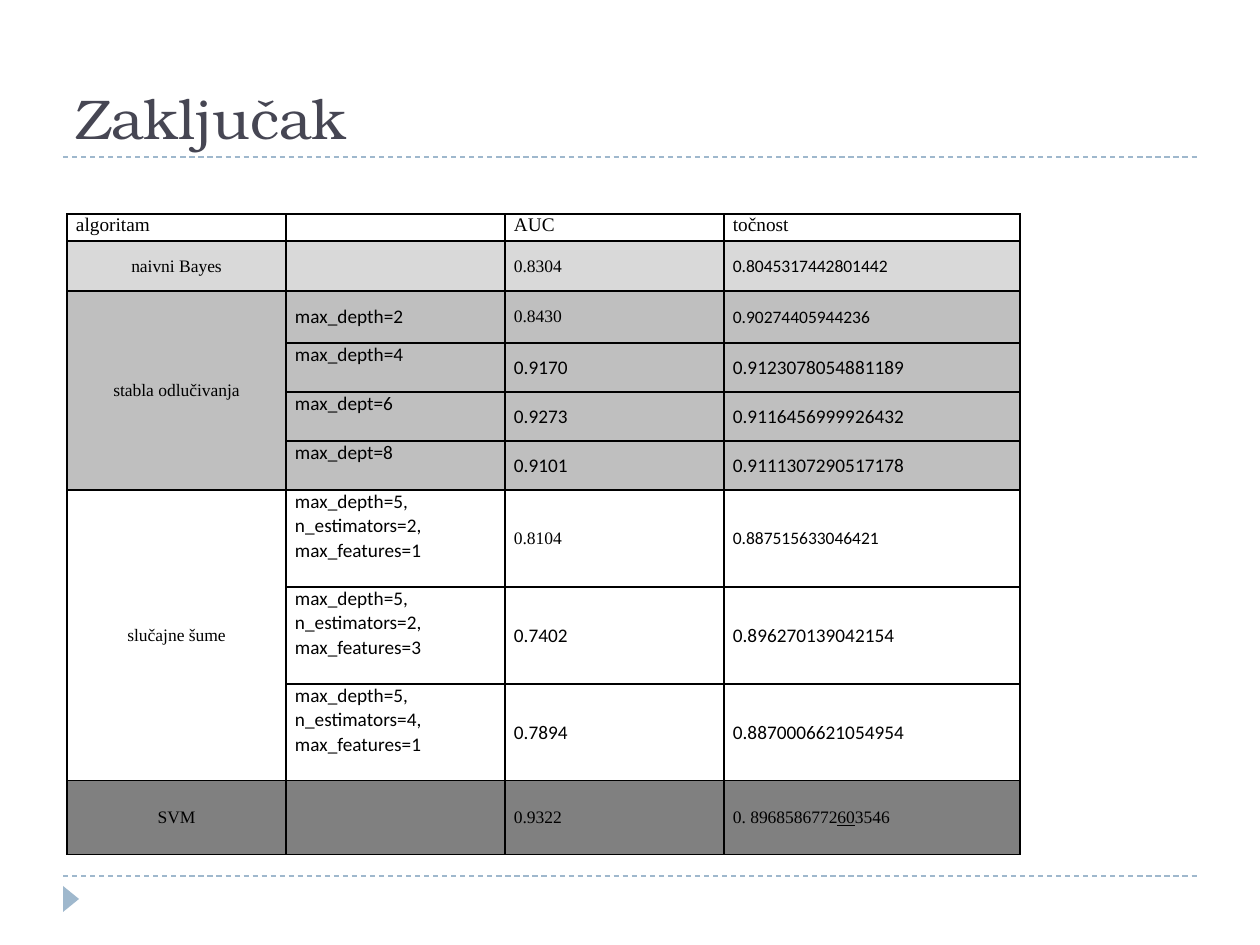
import pptx
import pptx.dml.color
import pptx.enum.dml
import pptx.enum.shapes
import pptx.enum.text
import pptx.oxml.ns
import pptx.util
from lxml import etree

PX = 914400 / 126
COLORS = {
    "title": "464653", "accent": "9FB8CD", "ink": "000000",
    "light": "D9D9D9", "mid": "BFBFBF", "dark": "808080",
}
SERIF, SANS = "Times New Roman", "Calibri"
ALIGN = pptx.enum.text.PP_ALIGN
ANCHOR = pptx.enum.text.MSO_ANCHOR

COLUMNS = [219, 219, 219, 296]
# Font and size of each column, by kind of row
STYLES = {
    "header": [(SERIF, 11)] * 4,
    "first": [(SERIF, 10), (SANS, 11), (SERIF, 10), (SANS, 10)],
    "more": [(SERIF, 10), (SANS, 11), (SANS, 11), (SANS, 11)],
    "last": [(SERIF, 10)] * 4,
}
# Height, fill, style, cell texts; a tuple has its middle piece underlined
ROWS = [
    (27, None, "header", ["algoritam", "", "AUC", "točnost"]),
    (50, "light", "first", ["naivni Bayes", "", "0.8304", "0.8045317442801442"]),
    (52, "mid", "first", ["stabla odlučivanja", "max_depth=2", "0.8430", "0.90274405944236"]),
    (49, "mid", "more", ["", "max_depth=4", "0.9170", "0.9123078054881189"]),
    (49, "mid", "more", ["", "max_dept=6", "0.9273", "0.9116456999926432"]),
    (49, "mid", "more", ["", "max_dept=8", "0.9101", "0.9111307290517178"]),
    (97, None, "first", ["slučajne šume", "max_depth=5, n_estimators=2, max_features=1",
                         "0.8104", "0.887515633046421"]),
    (97, None, "more", ["", "max_depth=5, n_estimators=2, max_features=3",
                        "0.7402", "0.896270139042154"]),
    (97, None, "more", ["", "max_depth=5, n_estimators=4, max_features=1",
                        "0.7894", "0.8870006621054954"]),
    (74, "dark", "last", ["SVM", "", "0.9322", ("0. 8968586772", "60", "3546")]),
]
MERGED_ROWS = [(2, 5), (6, 8)]


def px(n):
    return pptx.util.Emu(round(n * PX))


def rgb(name):
    return pptx.dml.color.RGBColor.from_string(COLORS[name])


def set_font(p, name, size, color):
    p.font.name = name
    p.font.size = pptx.util.Pt(size)
    p.font.color.rgb = rgb(color)


def add_title(s, text):
    sp = s.shapes.title
    sp.left, sp.top, sp.width, sp.height = px(63), px(21), px(1134), px(136)
    tf = sp.text_frame
    tf.text = text
    tf.word_wrap = True
    tf.auto_size = pptx.enum.text.MSO_AUTO_SIZE.NONE
    tf.vertical_anchor = ANCHOR.BOTTOM
    p = tf.paragraphs[0]
    p.alignment = ALIGN.LEFT
    set_font(p, "TeX Gyre Bonum", 32, "title")


def add_dashed_rule(s, y):
    line = s.shapes.add_connector(
        pptx.enum.shapes.MSO_CONNECTOR.STRAIGHT, px(63), px(y), px(1197), px(y))
    line.line.color.rgb = rgb("accent")
    line.line.width = pptx.util.Pt(0.75)
    line.line.dash_style = pptx.enum.dml.MSO_LINE.DASH
    etree.SubElement(line._element.spPr, pptx.oxml.ns.qn("a:effectLst"))


def add_page_marker(s):
    sp = s.shapes.add_shape(
        pptx.enum.shapes.MSO_SHAPE.ISOSCELES_TRIANGLE, px(58), px(891), px(26), px(16))
    sp.rotation = 90
    sp.shadow.inherit = False
    sp.fill.solid()
    sp.fill.fore_color.rgb = rgb("accent")
    sp.line.fill.background()


def set_borders(cell):
    """Put the four lines ahead of the fill, as the schema orders them."""
    qn = pptx.oxml.ns.qn
    tc_pr = cell._tc.get_or_add_tcPr()
    for i, side in enumerate(("lnL", "lnR", "lnT", "lnB")):
        ln = etree.Element(qn("a:" + side), w=str(pptx.util.Pt(1)))
        fill = etree.SubElement(ln, qn("a:solidFill"))
        etree.SubElement(fill, qn("a:srgbClr"), val=COLORS["ink"])
        tc_pr.insert(i, ln)


def fill_cell(cell, text, font, size, fill, alignment, anchor):
    cell.margin_left = cell.margin_right = px(9)
    cell.margin_top = cell.margin_bottom = 0
    cell.vertical_anchor = anchor
    if fill:
        cell.fill.solid()
        cell.fill.fore_color.rgb = rgb(fill)
    else:
        cell.fill.background()
    set_borders(cell)
    p = cell.text_frame.paragraphs[0]
    p.alignment = alignment
    p.line_spacing = 1.02
    set_font(p, font, size, "ink")
    if not text:
        etree.SubElement(p._p, pptx.oxml.ns.qn("a:endParaRPr"), sz=str(size * 100))
        return
    for i, piece in enumerate(text if isinstance(text, tuple) else (text,)):
        r = p.add_run()
        r.text = piece
        if i == 1:
            r.font.underline = True


def add_results_table(s):
    heights = [row[0] for row in ROWS]
    table = s.shapes.add_table(len(ROWS), len(COLUMNS), px(67), px(214),
                               px(sum(COLUMNS)), px(sum(heights))).table
    table.first_row = table.horz_banding = False
    for column, width in zip(table.columns, COLUMNS):
        column.width = px(width)
    for i, (height, fill, style, texts) in enumerate(ROWS):
        table.rows[i].height = px(height)
        for j, (text, (font, size)) in enumerate(zip(texts, STYLES[style])):
            centred = j == 0 and style != "header"
            at_top = style == "header" or (j == 1 and i > 2)
            fill_cell(table.cell(i, j), text, font, size, fill,
                      ALIGN.CENTER if centred else ALIGN.JUSTIFY,
                      ANCHOR.TOP if at_top else ANCHOR.MIDDLE)
    for first, last in MERGED_ROWS:
        table.cell(first, 0).merge(table.cell(last, 0))


def main():
    prs = pptx.Presentation()
    prs.slide_width, prs.slide_height = px(1260), px(945)
    s = prs.slides.add_slide(prs.slide_layouts[5])
    for y in (876, 157):
        add_dashed_rule(s, y)
    add_page_marker(s)
    add_title(s, "Zaključak")
    add_results_table(s)
    prs.save("out.pptx")


if __name__ == "__main__":
    main()
